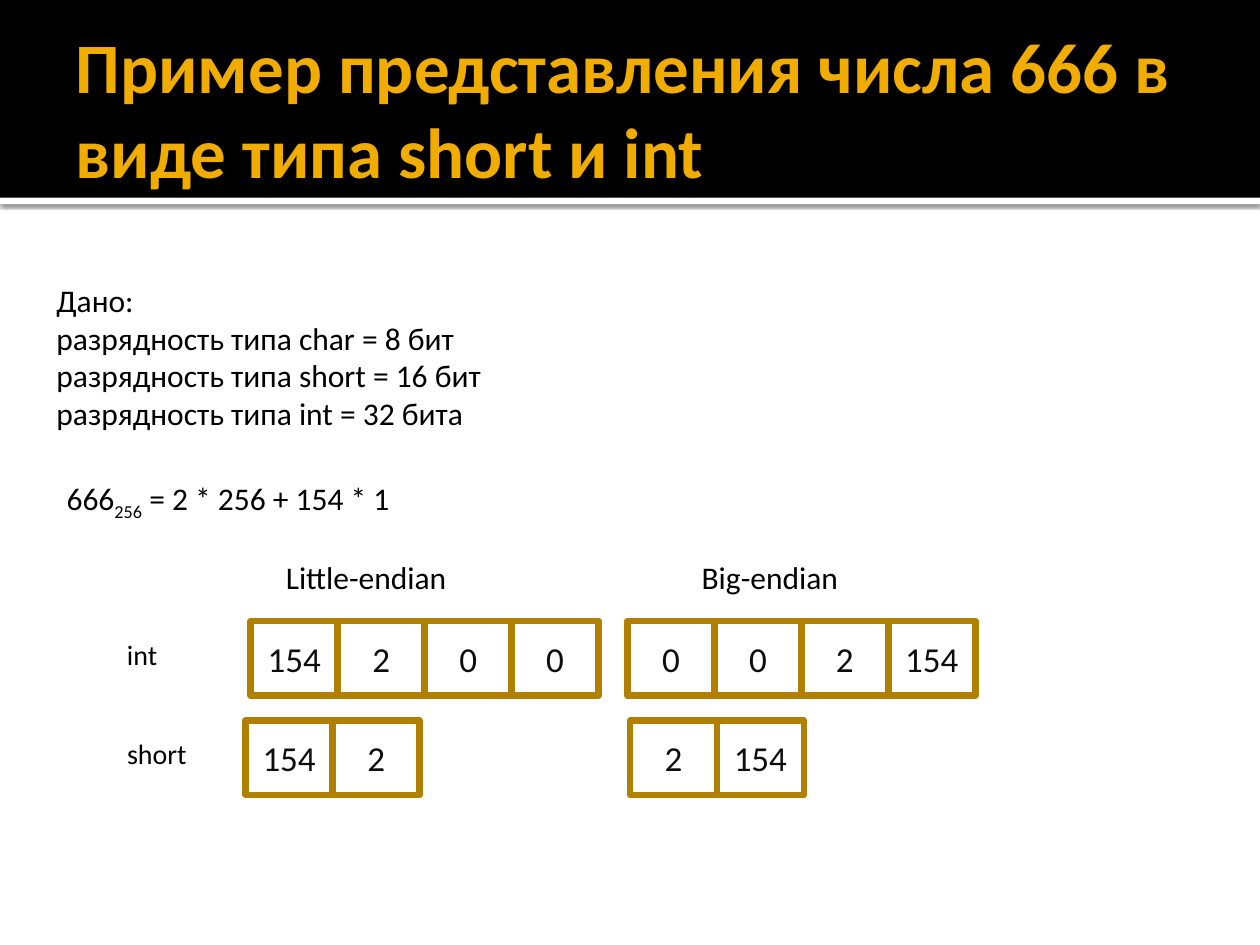
from lxml.etree import SubElement
from pptx import Presentation
from pptx.dml.color import RGBColor
from pptx.enum.shapes import MSO_SHAPE as SHAPE
from pptx.enum.text import MSO_ANCHOR as ANCHOR, MSO_AUTO_SIZE as AUTO, PP_ALIGN as ALIGN
from pptx.oxml.ns import qn
from pptx.util import Inches, Pt

TITLE = "Пример представления числа 666 в виде типа short и int"
GIVEN = [
    "Дано:",
    "разрядность типа char = 8 бит",
    "разрядность типа short = 16 бит",
    "разрядность типа int = 32 бита",
]
LABELS = [
    ("Little-endian", 2.17, 4.38, 1.58, 0.4, 18),
    ("Big-endian", 5.47, 4.38, 1.39, 0.4, 18),
    ("int", 0.91, 5.01, 0.44, 0.37, 16),
    ("short", 0.91, 5.8, 0.68, 0.37, 16),
]
BYTE_ROWS = [
    (1.99, 4.93, [154, 2, 0, 0]),
    (4.98, 4.93, [0, 0, 2, 154]),
    (1.95, 5.72, [154, 2]),
    (5, 5.72, [2, 154]),
]


def rgb(value):
    """Turn a hex string into a colour."""
    return RGBColor.from_string(value)


def add_run(p, text, size=18, color="000000", bold=False, baseline=0):
    """Add a formatted run to a paragraph."""
    r = p.add_run()
    r.text = text
    r.font.name = "Calibri"
    r.font.size = Pt(size)
    r.font.bold = bold
    r.font.color.rgb = rgb(color)
    if baseline:
        r.font._element.set("baseline", str(baseline * 1000))
    return r


class Deck:
    """Hold the style and the current slide."""

    accent, border, ink = "F0AD00", "B28000", "0D0D0D"
    cell_w, cell_h = 0.69, 0.59

    def __init__(self):
        """Open a presentation with one title-only slide."""
        self.prs = Presentation()
        self.prs.slide_width, self.prs.slide_height = Inches(10), Inches(7.5)
        self.s = self.prs.slides.add_slide(self.prs.slide_layouts[5])

    def rect(self, x, y, w, h):
        """Add a rectangle without a shadow."""
        sp = self.s.shapes.add_shape(SHAPE.RECTANGLE, Inches(x), Inches(y), Inches(w), Inches(h))
        sp.shadow.inherit = False
        return sp

    def band(self, y, h, color):
        """Add a full-width filled band."""
        sp = self.rect(0, y, 10, h)
        sp.fill.solid()
        sp.fill.fore_color.rgb = rgb(color)
        sp.line.fill.background()
        return sp

    def drop_shadow(self, sp, blur, dist, alpha):
        """Cast a soft shadow straight down from a shape."""
        effects = sp.element.spPr.find(qn("a:effectLst"))
        shadow = SubElement(effects, qn("a:outerShdw"), blurRad=str(Pt(blur)), dist=str(Pt(dist)),
                            dir="5400000", algn="tl", rotWithShape="0")
        color = SubElement(shadow, qn("a:srgbClr"), val="000000")
        SubElement(color, qn("a:alpha"), val=str(alpha * 1000))

    def title(self, text):
        """Fill the title placeholder and bring it in front of the bands."""
        sp = self.s.shapes.title
        sp.left, sp.top, sp.width, sp.height = Inches(0.5), Inches(0.17), Inches(9), Inches(1.37)
        tf = sp.text_frame
        tf.word_wrap = True
        tf.auto_size = AUTO.NONE
        tf.vertical_anchor = ANCHOR.MIDDLE
        tf.margin_left = Inches(0.1)
        tf.margin_top = tf.margin_right = tf.margin_bottom = Inches(0.05)
        p = tf.paragraphs[0]
        p.alignment = ALIGN.LEFT
        add_run(p, text, size=40.5, color=self.accent, bold=True)
        self.s.shapes.element.append(sp.element)

    def text(self, lines, x, y, w, h, size=18):
        """Add a text box whose lines are lists of (text, baseline) parts."""
        tf = self.s.shapes.add_textbox(Inches(x), Inches(y), Inches(w), Inches(h)).text_frame
        tf.word_wrap = False
        tf.auto_size = AUTO.SHAPE_TO_FIT_TEXT
        for i, parts in enumerate(lines):
            p = tf.add_paragraph() if i else tf.paragraphs[0]
            for part, baseline in parts:
                add_run(p, part, size=size, baseline=baseline)

    def byte_row(self, x, y, values):
        """Add a row of adjoining byte cells."""
        for i, value in enumerate(values):
            sp = self.rect(x + i * self.cell_w, y, self.cell_w, self.cell_h)
            sp.fill.background()
            sp.line.color.rgb = rgb(self.border)
            sp.line.width = Pt(3.78)
            tf = sp.text_frame
            tf.vertical_anchor = ANCHOR.MIDDLE
            p = tf.paragraphs[0]
            p.alignment = ALIGN.CENTER
            add_run(p, str(value), size=20, color=self.ink)


def main():
    """Build and save the slide."""
    deck = Deck()
    strip = deck.band(1.57, 0.05, "FFFFFF")
    deck.drop_shadow(strip, blur=2.5, dist=0.8, alpha=60)
    deck.band(0, 1.57, "000000")
    deck.title(TITLE)
    deck.text([[(line, 0)] for line in GIVEN], 0.35, 2.18, 4, 1.31)
    deck.text([[("666", 0), ("256", -25), (" = 2 * 256 + 154 * 1", 0)]], 0.43, 3.75, 3.28, 0.4)
    for text, x, y, w, h, size in LABELS:
        deck.text([[(text, 0)]], x, y, w, h, size)
    for x, y, values in BYTE_ROWS:
        deck.byte_row(x, y, values)
    deck.prs.save("out.pptx")


if __name__ == "__main__":
    main()
